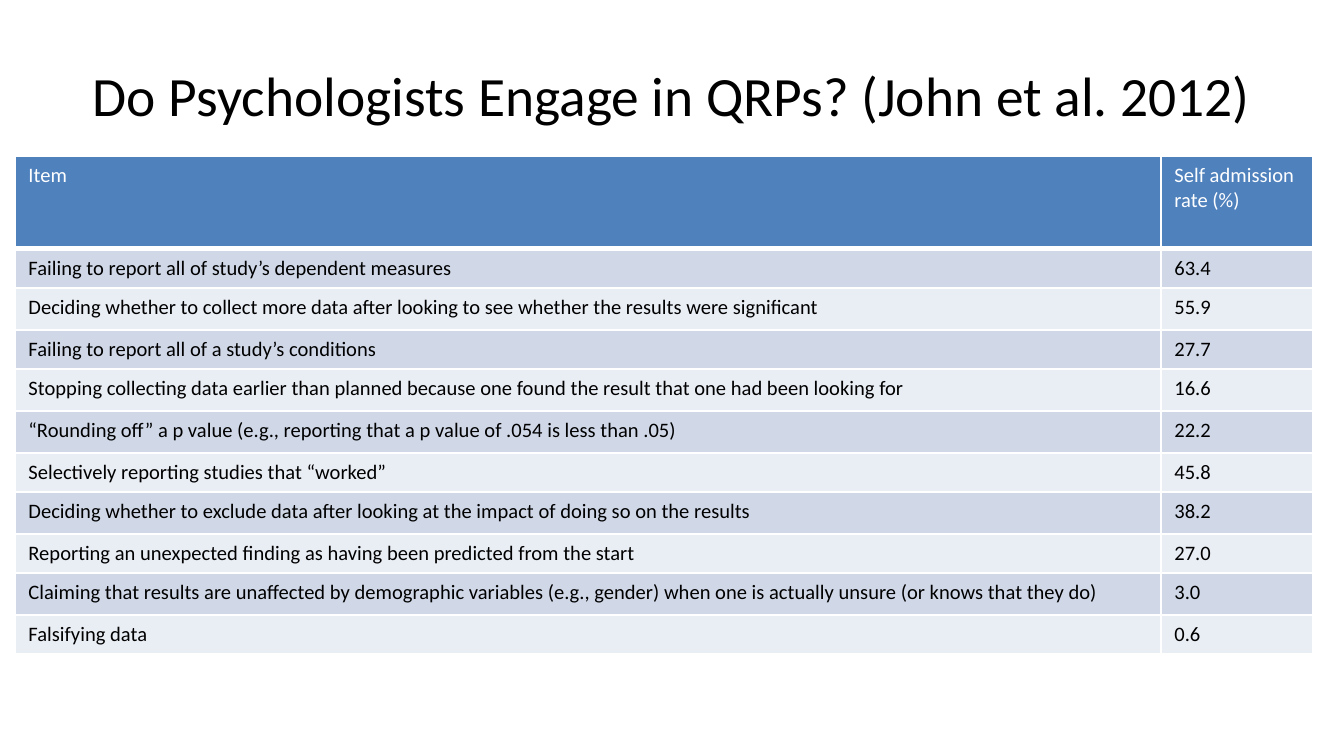
from dataclasses import dataclass
from typing import NamedTuple

from lxml import etree
from pptx import Presentation, util as u
from pptx.dml.color import RGBColor
from pptx.enum import text
from pptx.oxml import ns

PX_PER_INCH = 134.4


@dataclass(frozen=True)
class Theme:
    font: str = "Calibri"
    title_size: float = 29.7
    body_size: float = 11
    ink: str = "000000"
    paper: str = "FFFFFF"
    header: str = "4F81BD"
    bands: tuple[str, str] = ("D0D8E8", "E9EDF4")
    rule: float = 1
    header_rule: float = 3


class Practice(NamedTuple):
    item: str
    rate: str
    height: int


THEME = Theme()
SHORT, TALL = 39, 42
TITLE = "Do Psychologists Engage in QRPs? (John et al. 2012)"
HEADER = Practice("Item", "Self admission rate (%)", 93)
PRACTICES = [
    Practice("Failing to report all of study’s dependent measures", "63.4", SHORT),
    Practice("Deciding whether to collect more data after looking to see whether "
             "the results were significant", "55.9", TALL),
    Practice("Failing to report all of a study’s conditions", "27.7", SHORT),
    Practice("Stopping collecting data earlier than planned because one found "
             "the result that one had been looking for", "16.6", TALL),
    Practice("“Rounding off” a p value (e.g., reporting that a p value of .054 "
             "is less than .05)", "22.2", TALL),
    Practice("Selectively reporting studies that “worked”", "45.8", SHORT),
    Practice("Deciding whether to exclude data after looking at the impact of "
             "doing so on the results", "38.2", TALL),
    Practice("Reporting an unexpected finding as having been predicted from "
             "the start", "27.0", SHORT),
    Practice("Claiming that results are unaffected by demographic variables "
             "(e.g., gender) when one is actually unsure (or knows that they do)",
             "3.0", TALL),
    Practice("Falsifying data", "0.6", SHORT),
]
COLUMNS = (1146, 152)


def px(n: int) -> int:
    return u.Inches(n / PX_PER_INCH)


def write(tf, words: str, size: float, color: str) -> None:
    p = tf.paragraphs[0]
    r = p.add_run()
    r.text = words
    style = {"name": THEME.font, "size": u.Pt(size), "bold": False}
    for key, value in style.items():
        setattr(r.font, key, value)
    r.font.color.rgb = RGBColor.from_string(color)


def add_borders(cell, bottom: float) -> None:
    tc_pr = cell._tc.get_or_add_tcPr()
    widths = {"lnL": THEME.rule, "lnR": THEME.rule, "lnT": THEME.rule, "lnB": bottom}
    for tag, width in widths.items():
        line = etree.SubElement(tc_pr, ns.qn(f"a:{tag}"), w=str(u.Pt(width)))
        fill = etree.SubElement(line, ns.qn("a:solidFill"))
        etree.SubElement(fill, ns.qn("a:srgbClr"), val=THEME.paper)


def add_title(s) -> None:
    title = s.shapes.title
    box = {"left": 67, "top": 31, "width": 1210, "height": 126}
    for key, value in box.items():
        setattr(title, key, px(value))
    tf = title.text_frame
    frame = {"word_wrap": True, "auto_size": text.MSO_AUTO_SIZE.NONE,
             "vertical_anchor": text.MSO_ANCHOR.MIDDLE}
    for key, value in frame.items():
        setattr(tf, key, value)
    write(tf, TITLE, THEME.title_size, THEME.ink)
    tf.paragraphs[0].alignment = text.PP_ALIGN.CENTER


def add_practice_table(s) -> None:
    rows = [HEADER, *PRACTICES]
    table = s.shapes.add_table(
        len(rows), len(COLUMNS), px(15), px(156),
        px(sum(COLUMNS)), px(sum(row.height for row in rows))).table
    for column, width in zip(table.columns, COLUMNS):
        column.width = px(width)
    for i, row in enumerate(rows):
        table.rows[i].height = px(row.height)
        is_header = i == 0
        fill = THEME.header if is_header else THEME.bands[(i - 1) % 2]
        color = THEME.paper if is_header else THEME.ink
        bottom = THEME.header_rule if is_header else THEME.rule
        for cell, words in zip(table.rows[i].cells, (row.item, row.rate)):
            add_borders(cell, bottom)
            cell.fill.solid()
            cell.fill.fore_color.rgb = RGBColor.from_string(fill)
            write(cell.text_frame, words, THEME.body_size, color)


def main() -> None:
    prs = Presentation()
    prs.slide_width, prs.slide_height = px(1344), px(756)
    s = prs.slides.add_slide(prs.slide_layouts.get_by_name("Title Only"))
    add_title(s)
    add_practice_table(s)
    prs.save("out.pptx")


if __name__ == "__main__":
    main()
